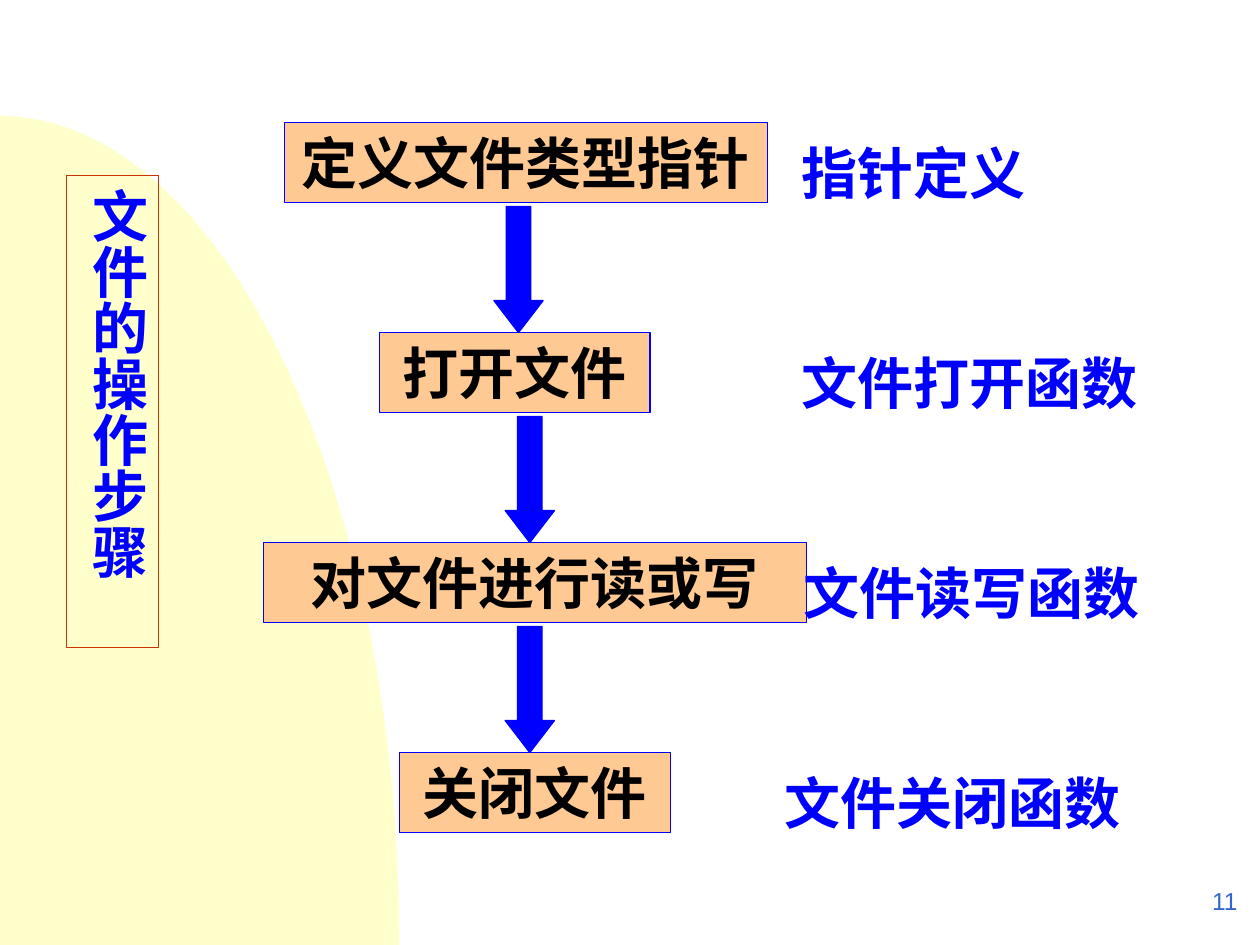
from math import cos, pi, sin

from lxml.etree import SubElement
from pptx import Presentation
from pptx.dml.color import RGBColor
from pptx.enum.shapes import MSO_SHAPE as Shape
from pptx.enum.text import MSO_ANCHOR as Anchor, MSO_AUTO_SIZE as AutoSize, PP_ALIGN as Align
from pptx.oxml.ns import qn
from pptx.util import Inches, Pt

COLORS = {
    "backdrop": "FFFFCC",
    "box": "FFC993",
    "blue": "0000FF",
    "frame": "CC3300",
    "text": "010000",
    "number": "3366CC",
}
CJK = "Noto Sans CJK SC"


class FlowSlide:
    def __init__(self, slide):
        self.slide = slide
        self.shapes = slide.shapes

    def color(self, name):
        return RGBColor.from_string(COLORS[name])

    def paint(self, shape, fill, line):
        if fill:
            shape.fill.solid()
            shape.fill.fore_color.rgb = self.color(fill)
        else:
            shape.fill.background()
        if line:
            shape.line.color.rgb = self.color(line)
            shape.line.width = Pt(0.75)
        else:
            shape.line.fill.background()

    def set_text(self, shape, text, color, align=Align.CENTER, size=32,
                 font_name=CJK, bold=True, anchor=Anchor.TOP):
        frame = shape.text_frame
        frame.word_wrap = True
        frame.auto_size = AutoSize.NONE
        frame.vertical_anchor = anchor
        frame.text = text
        paragraph = frame.paragraphs[0]
        paragraph.alignment = align
        paragraph.space_before = Pt(0)
        font = paragraph.font
        font.size, font.bold, font.name = Pt(size), bold, font_name
        font.color.rgb = self.color(color)
        # East Asian glyphs take their own typeface element
        SubElement(paragraph._p.pPr.find(qn("a:defRPr")), qn("a:ea"), typeface=font_name)

    def backdrop(self, width, top, bottom, steps=90):
        angles = [pi / 2 * i / steps for i in range(steps + 1)]
        arc = [(Inches(width * sin(a)), Inches(bottom - (bottom - top) * cos(a)))
               for a in angles]
        builder = self.shapes.build_freeform(0, Inches(top))
        builder.add_line_segments(arc[1:] + [(0, Inches(bottom))], close=True)
        quarter = builder.convert_to_shape()
        quarter.shadow.inherit = False
        self.paint(quarter, "backdrop", None)
        self.shapes._spTree.insert(2, quarter._element)  # behind the title

    def vertical_title(self, text, left, top, width, height):
        title = self.shapes.title
        title.left, title.top = Inches(left), Inches(top)
        title.width, title.height = Inches(width), Inches(height)
        self.paint(title, None, "frame")
        self.set_text(title, text, "blue")
        frame = title.text_frame
        frame.margin_left = frame.margin_right = Inches(0.05)
        frame.margin_top = frame.margin_bottom = Inches(0.1)
        frame._txBody.bodyPr.set("vert", "eaVert")

    def preset(self, kind, left, top, width, height, fill):
        shape = self.shapes.add_shape(
            kind, Inches(left), Inches(top), Inches(width), Inches(height))
        shape.shadow.inherit = False
        self.paint(shape, fill, "blue")
        return shape

    def step(self, text, left, top, width):
        self.set_text(self.preset(Shape.RECTANGLE, left, top, width, 0.64, "box"), text, "text")

    def arrow(self, left, top):
        arrow = self.preset(Shape.DOWN_ARROW, left, top, 0.39, 1, "blue")
        arrow.adjustments[1] = 0.65

    def label(self, text, left, top, width, height, color="blue", align=Align.LEFT, **style):
        box = self.shapes.add_textbox(
            Inches(left), Inches(top), Inches(width), Inches(height))
        self.set_text(box, text, color, align, **style)


# step text, left, width; function label, left; left of the arrow below
STEPS = [
    ("定义文件类型指针", 2.26, 3.83, "指针定义", 6.26, 3.92),
    ("打开文件", 3.01, 2.15, "文件打开函数", 6.26, 4.01),
    ("对文件进行读或写", 2.09, 4.31, "文件读写函数", 6.28, 4.01),
    ("关闭文件", 3.17, 2.15, "文件关闭函数", 6.13, None),
]
FIRST_TOP, PITCH = 0.97, 5 / 3


def main():
    deck = Presentation()
    deck.slide_width, deck.slide_height = Inches(10), Inches(7.5)
    flow = FlowSlide(deck.slides.add_slide(deck.slide_layouts[5]))

    # Backdrop and title
    flow.backdrop(3.17, 0.92, 7.5)
    flow.vertical_title("文件的操作步骤", 0.53, 1.39, 0.73, 3.75)

    # Steps with their functions and arrows
    for row, (step, left, width, function, label_left, arrow_left) in enumerate(STEPS):
        top = FIRST_TOP + row * PITCH
        flow.step(step, left, top, width)
        flow.label(function, label_left, top + 0.08, 3, 0.64)
        if arrow_left:
            flow.arrow(arrow_left, top + 0.67)

    # Page number
    flow.label("11", 7.84, 6.9, 2.08, 0.5, "number", Align.RIGHT,
               size=14, font_name="Arial", bold=False, anchor=Anchor.MIDDLE)

    deck.save("out.pptx")


if __name__ == "__main__":
    main()
